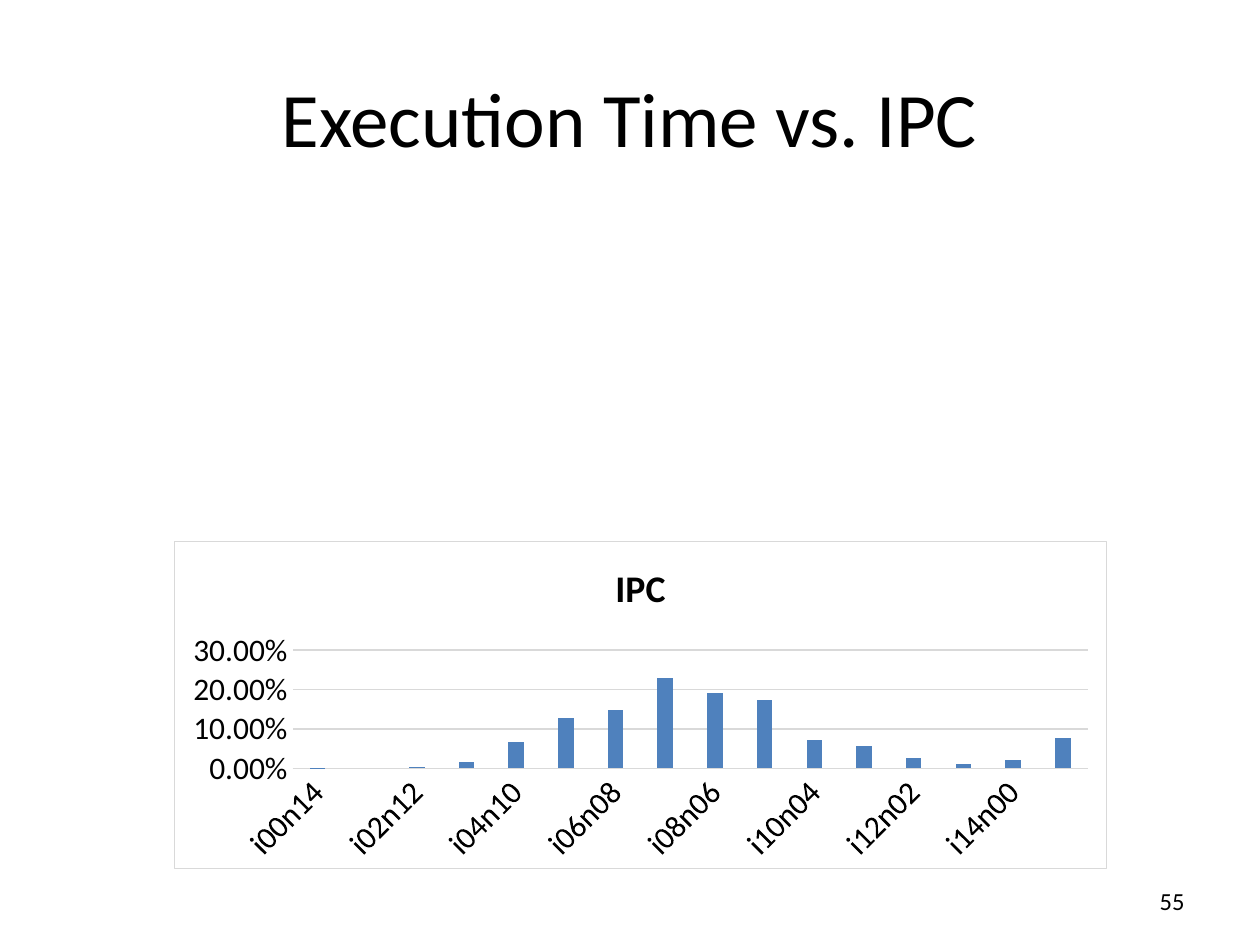
from lxml.etree import fromstring
from pptx import Presentation
from pptx.chart.data import CategoryChartData
from pptx.dml.color import RGBColor
from pptx.enum.chart import XL_CHART_TYPE, XL_TICK_MARK
from pptx.enum.text import MSO_ANCHOR, PP_ALIGN
from pptx.util import Pt

SCALE = 914400 / 126  # EMU per px
A = "http://schemas.openxmlformats.org/drawingml/2006/main"
C = "http://schemas.openxmlformats.org/drawingml/2006/chart"

# Share of each mix, from 0 to 14, with the average last
NAMES = [f"i{i:02d}n{14 - i:02d}" for i in range(15)] + ["average"]
VALUES = [0.001, -0.001, 0.002, 0.015, 0.066, 0.127, 0.148, 0.23,
          0.192, 0.172, 0.071, 0.057, 0.025, 0.011, 0.021, 0.076]


def px(num):
    return round(num * SCALE)


def color(code):
    return RGBColor.from_string(code)


def apply(item, values):
    for name, value in values.items():
        setattr(item, name, value)


class Deck:
    face, ink, rule, bar = "Calibri", "000000", "D9D9D9", "4F81BD"

    def __init__(self, wide, high):
        self.file = Presentation()
        apply(self.file, {"slide_width": px(wide), "slide_height": px(high)})
        self.slide = self.file.slides.add_slide(self.file.slide_layouts[6])

    def font(self, font, size, bold=False):
        apply(font, {"name": self.face, "size": Pt(size), "bold": bold})
        font.color.rgb = color(self.ink)

    def line(self, line):
        line.color.rgb = color(self.rule)
        line.width = Pt(0.75)

    def text(self, words, box, size, align):
        frame = self.slide.shapes.add_textbox(*map(px, box)).text_frame
        apply(frame, {"word_wrap": True, "vertical_anchor": MSO_ANCHOR.MIDDLE})
        para = frame.paragraphs[0]
        para.alignment = align
        run = para.add_run()
        run.text = words
        self.font(run.font, size)

    def chart(self, title, names, values, box):
        data = CategoryChartData(number_format="0.00%")
        data.categories = names
        data.add_series(title, values)
        chart = self.slide.shapes.add_chart(
            XL_CHART_TYPE.COLUMN_CLUSTERED, *map(px, box), data).chart
        self.font(chart.font, 18)
        apply(chart, {"has_legend": False, "has_title": True})

        # Title
        head = chart.chart_title.text_frame
        head.text = title
        self.font(head.paragraphs[0].runs[0].font, 21.6, True)

        # Bars
        plot = chart.plots[0]
        apply(plot, {"gap_width": 219, "overlap": -27, "vary_by_categories": False})
        fill = plot.series[0].format.fill
        fill.solid()
        fill.fore_color.rgb = color(self.bar)

        # Axes
        cat, val = chart.category_axis, chart.value_axis
        for axis in (cat, val):
            apply(axis, {"major_tick_mark": XL_TICK_MARK.NONE,
                         "minor_tick_mark": XL_TICK_MARK.NONE})
            self.font(axis.tick_labels.font, 18)
        self.line(cat.format.line)
        cat._element.txPr.find(f"{{{A}}}bodyPr").set("rot", "-2700000")
        apply(val, {"minimum_scale": 0, "maximum_scale": 0.3, "major_unit": 0.1})
        apply(val.tick_labels, {"number_format": "0.00%",
                                "number_format_is_linked": False})
        val.format.line.fill.background()
        self.line(val.major_gridlines.format.line)

        # Chart area
        area = fromstring(
            f'<c:spPr xmlns:c="{C}" xmlns:a="{A}">'
            '<a:solidFill><a:srgbClr val="FFFFFF"/></a:solidFill>'
            f'<a:ln w="{Pt(0.75)}"><a:solidFill><a:srgbClr val="{self.rule}"/>'
            '</a:solidFill></a:ln></c:spPr>')
        chart._chartSpace.find(f"{{{C}}}chart").addnext(area)


def main():
    deck = Deck(1260, 945)
    deck.text("Execution Time vs. IPC", (63, 38, 1134, 158), 44, PP_ALIGN.CENTER)
    deck.text("55", (903, 876, 294, 50), 14, PP_ALIGN.RIGHT)
    deck.chart("IPC", NAMES, VALUES, (174, 541, 933, 328))
    deck.file.save("out.pptx")


if __name__ == "__main__":
    main()
